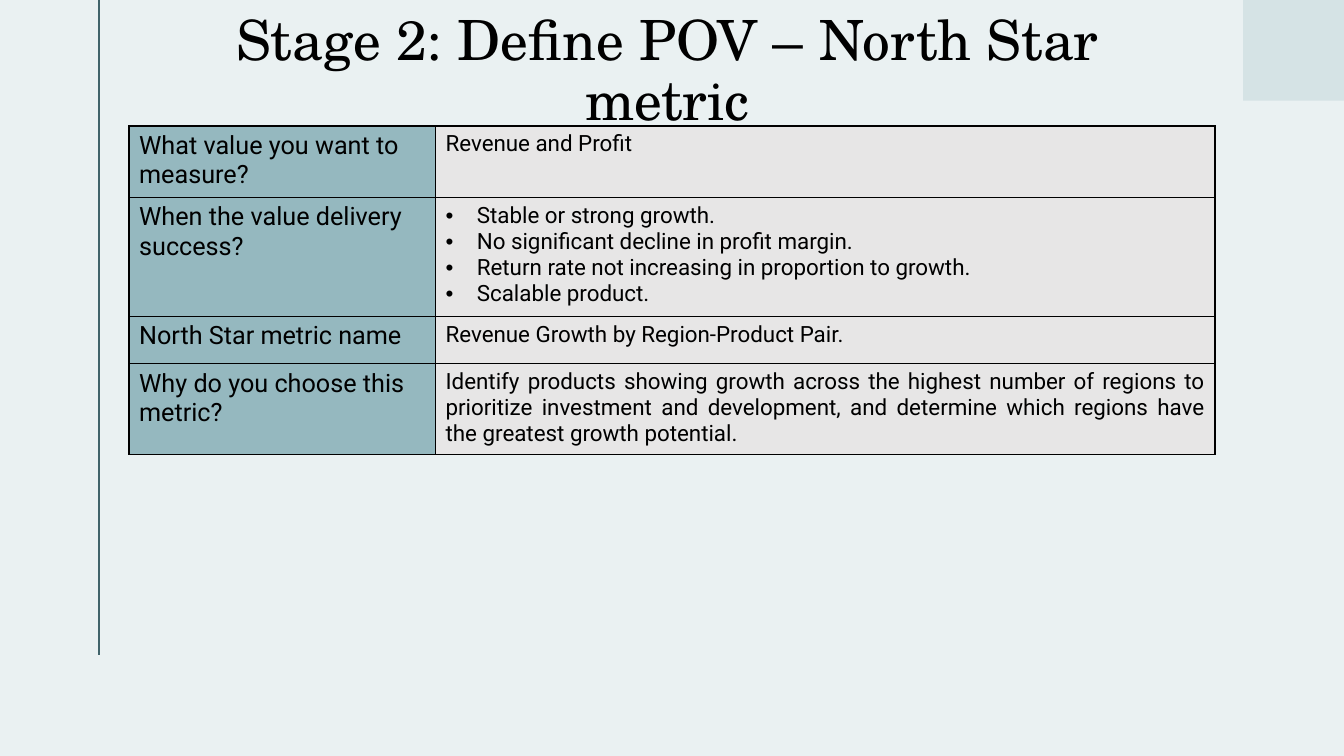
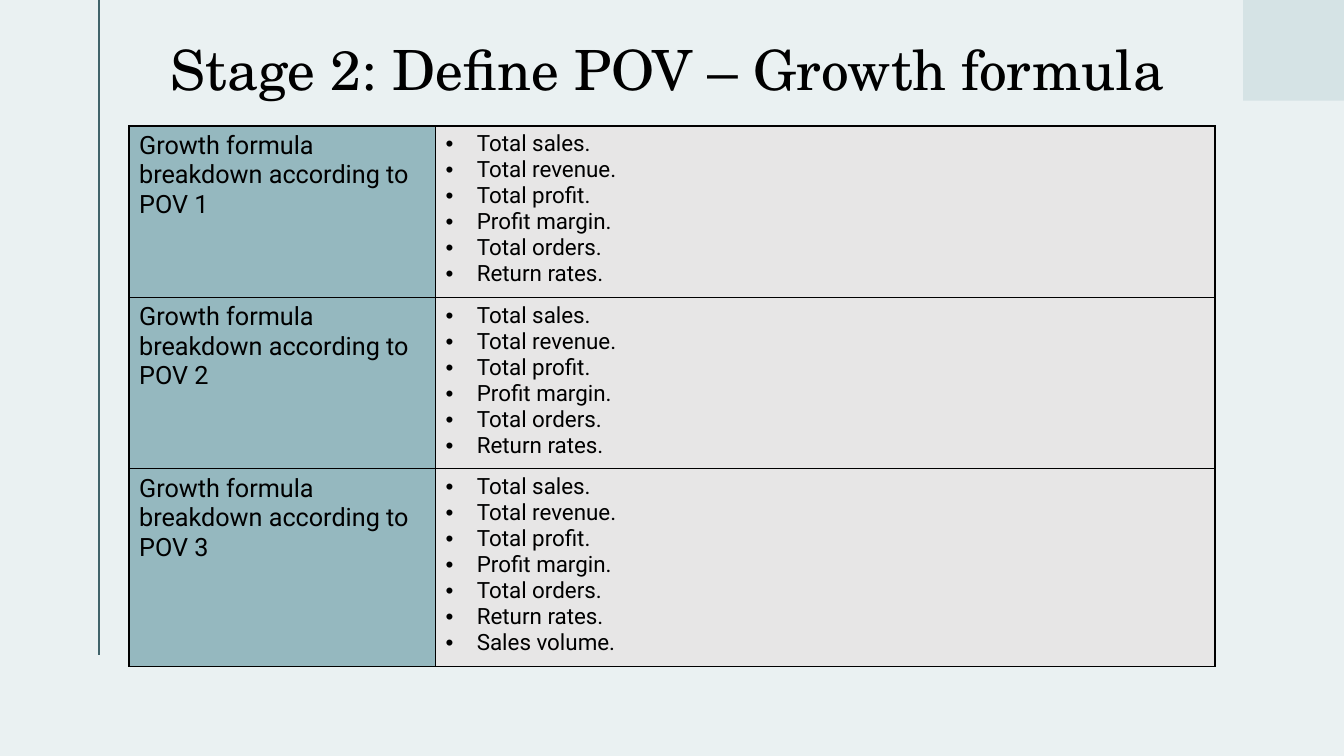
import lxml.etree
import pptx
import pptx.dml.color
import pptx.enum.shapes
import pptx.enum.text
import pptx.oxml.ns
import pptx.util

Inches = pptx.util.Inches
Align = pptx.enum.text.PP_ALIGN

COLORS = {
    "background": "EAF1F2",
    "rule": "40636A",
    "corner": "D5E3E5",
    "label": "95B8BF",
    "answer": "E7E6E6",
    "ink": "000000",
}
TITLE_FONT, BODY_FONT = "TeX Gyre Schola", "Roboto"
TITLE_BOX = (1.54, 0.19, 10.26, 1.06)
TABLE_BOX = (1.28, 1.25, 10.77)
LABEL_WIDTH = 3.04
BULLET_INDENT = 0.31

MEASURES = ["Total sales.", "Total revenue.", "Total profit.",
            "Profit margin.", "Total orders.", "Return rates."]

# Each row: height, label, answer (a list is bulleted), alignment of the answer
NORTH_STAR_ROWS = [
    (0.71, "What value you want to measure?", "Revenue and Profit", Align.LEFT),
    (1.18, "When the value delivery success?",
     ["Stable or strong growth.",
      "No significant decline in profit margin.",
      "Return rate not increasing in proportion to growth.",
      "Scalable product."], Align.JUSTIFY),
    (0.47, "North Star metric name", "Revenue Growth by Region-Product Pair.", Align.JUSTIFY),
    (0.77, "Why do you choose this metric?",
     "Identify products showing growth across the highest number of regions to "
     "prioritize investment and development, and determine which regions have "
     "the greatest growth potential.", Align.JUSTIFY),
]
FORMULA_ROWS = [
    (height, f"Growth formula breakdown according to POV {number}", measures, Align.LEFT)
    for number, (height, measures) in enumerate(
        [(1.65, MEASURES), (1.65, MEASURES), (1.9, MEASURES + ["Sales volume."])], start=1)
]


def color(name):
    return pptx.dml.color.RGBColor.from_string(COLORS[name])


def paint(fill, name):
    fill.solid()
    fill.fore_color.rgb = color(name)


def add_element(parent, tag, **attributes):
    return lxml.etree.SubElement(parent, pptx.oxml.ns.qn(tag), attributes)


def write(para, text, font_name, size, alignment):
    para.text = text
    para.alignment = alignment
    for span in para.runs:
        span.font.name = font_name
        span.font.size = pptx.util.Pt(size)
        span.font.bold = False
        span.font.color.rgb = color("ink")


def add_bullet(para):
    properties = para._p.get_or_add_pPr()
    indent = Inches(BULLET_INDENT)
    properties.set("marL", str(indent))
    properties.set("indent", str(-indent))
    add_element(properties, "a:buFont", typeface="Arial")
    add_element(properties, "a:buChar", char="•")


def add_borders(cell):
    properties = cell._tc.get_or_add_tcPr()
    for position, side in enumerate(("a:lnL", "a:lnR", "a:lnT", "a:lnB")):
        border = add_element(properties, side, w=str(pptx.util.Pt(1)))
        add_element(add_element(border, "a:solidFill"), "a:srgbClr", val=COLORS["ink"])
        properties.insert(position, border)


def fill_cell(cell, content, size, alignment, fill_name):
    paint(cell.fill, fill_name)
    add_borders(cell)
    bulleted = isinstance(content, list)
    frame = cell.text_frame
    for index, text in enumerate(content if bulleted else [content]):
        para = frame.add_paragraph() if index else frame.paragraphs[0]
        if bulleted:
            add_bullet(para)
        write(para, text, BODY_FONT, size, alignment)


def add_backdrop(page):
    paint(page.background.fill, "background")
    # Vertical rule on the left
    rule = page.shapes.add_connector(
        pptx.enum.shapes.MSO_CONNECTOR.STRAIGHT,
        Inches(0.98), Inches(0), Inches(0.98), Inches(6.5))
    rule.line.color.rgb = color("rule")
    rule.line.width = pptx.util.Pt(1.5)
    add_element(rule._element.spPr, "a:effectLst")
    # Corner square
    corner = page.shapes.add_shape(
        pptx.enum.shapes.MSO_SHAPE.RECTANGLE,
        Inches(12.33), Inches(0), Inches(1), Inches(1))
    corner.shadow.inherit = False
    paint(corner.fill, "corner")
    corner.line.fill.background()


def add_title(page, text, left, top, width, height):
    box = page.shapes.add_textbox(Inches(left), Inches(top), Inches(width), Inches(height))
    frame = box.text_frame
    frame.word_wrap = True
    frame.vertical_anchor = pptx.enum.text.MSO_ANCHOR.MIDDLE
    frame.margin_left = Inches(0)
    para = frame.paragraphs[0]
    write(para, text, TITLE_FONT, 39.6, Align.CENTER)
    para.line_spacing = 0.9


def add_question_table(page, rows, left, top, width):
    height = sum(row[0] for row in rows)
    table = page.shapes.add_table(
        len(rows), 2, Inches(left), Inches(top), Inches(width), Inches(height)).table
    table.first_row = False
    table.horz_banding = False
    table.columns[0].width = Inches(LABEL_WIDTH)
    table.columns[1].width = Inches(width - LABEL_WIDTH)
    for index, (row_height, label, answer, alignment) in enumerate(rows):
        table.rows[index].height = Inches(row_height)
        fill_cell(table.cell(index, 0), label, 18, Align.LEFT, "label")
        fill_cell(table.cell(index, 1), answer, 16, alignment, "answer")


def add_table_page(deck, title, rows):
    page = deck.slides.add_slide(deck.slide_layouts[6])
    add_backdrop(page)
    add_title(page, title, *TITLE_BOX)
    add_question_table(page, rows, *TABLE_BOX)


def main():
    deck = pptx.Presentation()
    deck.slide_width, deck.slide_height = Inches(13.33), Inches(7.5)
    add_table_page(deck, "Stage 2: Define POV – North Star metric", NORTH_STAR_ROWS)
    add_table_page(deck, "Stage 2: Define POV – Growth formula", FORMULA_ROWS)
    deck.save("out.pptx")


if __name__ == "__main__":
    main()
